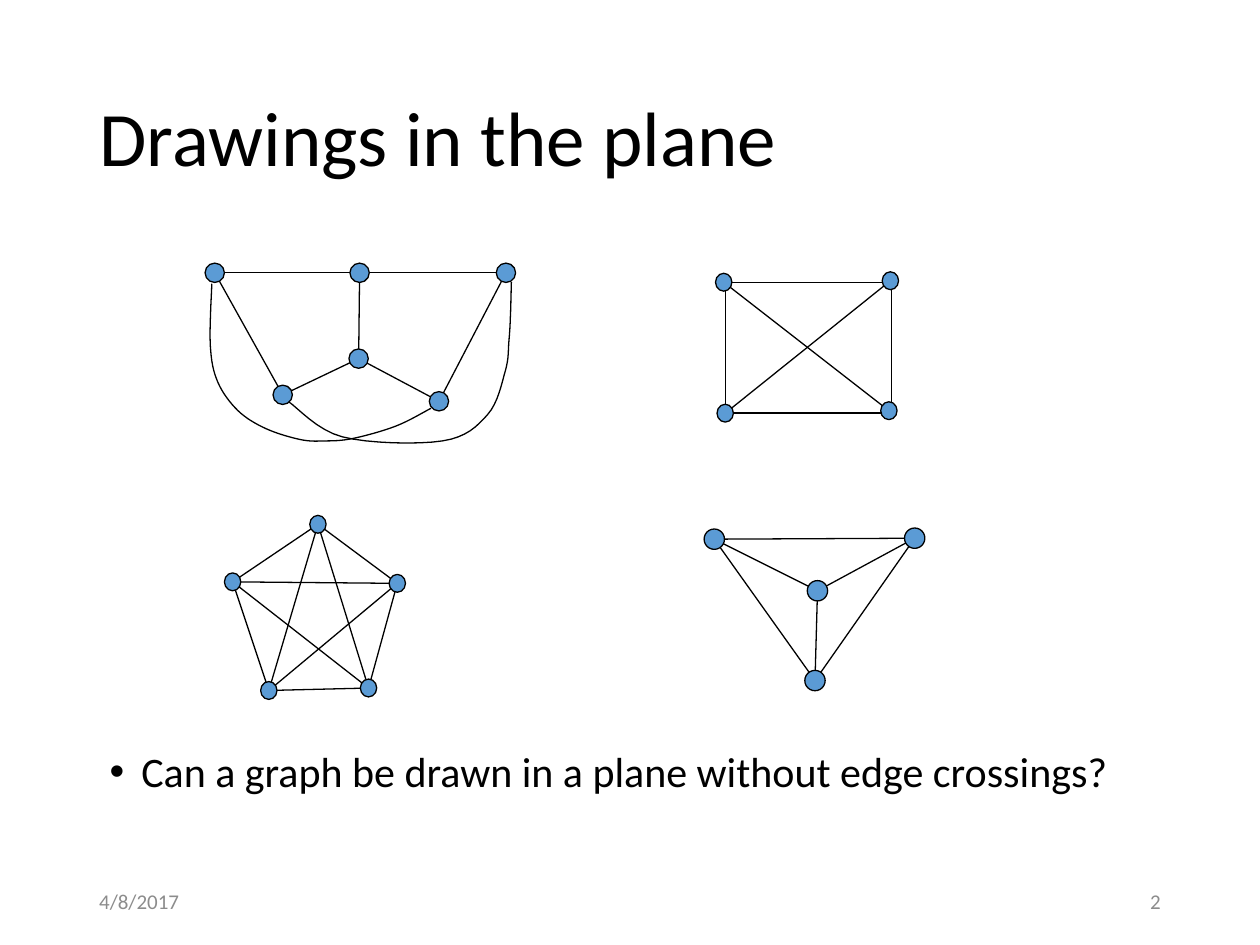
"""Build a slide of four graphs drawn in the plane."""
from itertools import combinations
from math import hypot

from lxml import etree
from pptx import Presentation
from pptx.dml.color import RGBColor
from pptx.enum.shapes import MSO_CONNECTOR, MSO_SHAPE
from pptx.enum.text import MSO_ANCHOR, PP_ALIGN
from pptx.oxml.ns import qn
from pptx.util import Cm, Pt

LEFT, RIGHT = PP_ALIGN.LEFT, PP_ALIGN.RIGHT
TOP, MIDDLE = MSO_ANCHOR.TOP, MSO_ANCHOR.MIDDLE
OVAL, RECT = MSO_SHAPE.OVAL, MSO_SHAPE.RECTANGLE
STRAIGHT = MSO_CONNECTOR.STRAIGHT

COLORS = {"ink": "000000", "node": "5B9BD5", "muted": "8C8C8C"}
FONT = "Calibri"
STEPS = 8

TITLE = {"text": "Drawings in the plane", "box": (1.75, 1.02, 21.89, 3.68),
         "size": 44, "color": "ink", "align": LEFT, "anchor": MIDDLE, "space": 0.9}
NOTES = [
    {"text": "4/8/2017", "box": (1.75, 17.65, 5.72, 1.02), "size": 12,
     "color": "muted", "align": LEFT, "anchor": MIDDLE, "space": 1.0},
    {"text": "2", "box": (17.93, 17.65, 5.72, 1.02), "size": 12,
     "color": "muted", "align": RIGHT, "anchor": MIDDLE, "space": 1.0},
]
QUESTION = {"text": "Can a graph be drawn in a plane without edge crossings?",
            "box": (1.96, 15.01, 21.74, 1.83), "size": 24, "color": "ink",
            "align": LEFT, "anchor": TOP, "space": 0.9, "bullet": "•"}

GRAPHS = [
    {"size": (0.39, 0.39),
     "nodes": [(4.33, 5.5), (7.25, 5.5), (10.2, 5.5),
               (7.23, 7.23), (8.85, 8.09), (5.7, 7.96)],
     "edges": [(0, 1), (1, 2), (5, 3), (3, 4), (1, 3), (0, 5), (2, 4)],
     "curves": [
         [(5.82, 8.1), (6.91, 8.81), (8.92, 8.89), (9.83, 8.36),
          (10.19, 7.47), (10.26, 6.88), (10.29, 6.4), (10.31, 5.69)],
         [(4.27, 5.72), (4.24, 6.96), (4.39, 7.7), (4.8, 8.28), (5.36, 8.64),
          (6.05, 8.86), (6.53, 8.89), (7.11, 8.84), (7.98, 8.59), (8.69, 8.23)],
     ]},
    {"size": (0.33, 0.36),
     "nodes": [(14.59, 5.69), (17.95, 5.66), (17.92, 8.28), (14.62, 8.33)],
     "edges": [(3, 1), (0, 2)],
     "frame": (14.63, 5.69, 3.35, 2.64)},
    {"size": (0.41, 0.41),
     "nodes": [(14.4, 10.87), (18.44, 10.85), (16.43, 13.72), (16.48, 11.91)],
     "edges": list(combinations(range(4), 2))},
    {"size": (0.33, 0.36),
     "nodes": [(4.69, 11.73), (8.01, 11.76), (7.43, 13.87),
               (6.41, 10.57), (5.42, 13.92)],
     "edges": list(combinations(range(5), 2))},
]


def paint(color):
    return RGBColor.from_string(COLORS[color])


def lengths(values):
    return [Cm(value) for value in values]


def stroke(shape):
    shape.line.color.rgb = paint("ink")
    shape.line.width = Pt(0.75)


def write(shape, item):
    for name, value in zip(("left", "top", "width", "height"), lengths(item["box"])):
        setattr(shape, name, value)
    frame = shape.text_frame
    frame.word_wrap = True
    frame.vertical_anchor = item["anchor"]
    para = frame.paragraphs[0]
    para.alignment = item["align"]
    para.line_spacing = item["space"]
    if "bullet" in item:
        props = para._p.get_or_add_pPr()
        props.set("marL", str(Cm(0.64)))
        props.set("indent", str(-Cm(0.64)))
        etree.SubElement(props, qn("a:buFont"), typeface="Arial")
        etree.SubElement(props, qn("a:buChar"), char=item["bullet"])
    run = para.add_run()
    run.text = item["text"]
    style = {"name": FONT, "size": Pt(item["size"])}
    for name, value in style.items():
        setattr(run.font, name, value)
    run.font.color.rgb = paint(item["color"])


def add_form(shapes, kind, box, fill=None):
    shape = shapes.add_shape(kind, *lengths(box))
    shape.shadow.inherit = False
    if fill:
        shape.fill.solid()
        shape.fill.fore_color.rgb = paint(fill)
    else:
        shape.fill.background()
    stroke(shape)


def add_edge(shapes, start, end, size):
    """Join two nodes from rim to rim."""
    (ax, ay), (bx, by) = start, end
    dx, dy = bx - ax, by - ay
    trim = 0.5 / hypot(dx / size[0], dy / size[1])
    ends = (ax + trim * dx, ay + trim * dy, bx - trim * dx, by - trim * dy)
    line = shapes.add_connector(STRAIGHT, *lengths(ends))
    etree.SubElement(line._element.spPr, qn("a:effectLst"))
    stroke(line)


def blend(a, b, c, d, t):
    """Return a value on the smooth curve between b and c."""
    return b + t / 2 * (c - a + t * (2 * a - 5 * b + 4 * c - d
                                     + t * (3 * (b - c) + d - a)))


def add_curve(shapes, knots):
    """Draw a smooth open curve through the knots."""
    ring = [knots[0], *knots, knots[-1]]
    dots = [tuple(Cm(blend(*axis, step / STEPS)) for axis in zip(*ring[i:i + 4]))
            for i in range(len(knots) - 1) for step in range(1, STEPS + 1)]
    pen = shapes.build_freeform(*lengths(knots[0]))
    pen.add_line_segments(dots, close=False)
    curve = pen.convert_to_shape()
    curve.shadow.inherit = False
    curve.fill.background()
    stroke(curve)


def add_graph(slide, graph):
    shapes = slide.shapes.add_group_shape().shapes
    nodes, (wide, high) = graph["nodes"], graph["size"]
    if "frame" in graph:
        add_form(shapes, RECT, graph["frame"])
    for start, end in graph["edges"]:
        add_edge(shapes, nodes[start], nodes[end], graph["size"])
    for knots in graph.get("curves", []):
        add_curve(shapes, knots)
    for x, y in nodes:
        add_form(shapes, OVAL, (x - wide / 2, y - high / 2, wide, high), "node")


def main():
    deck = Presentation()
    deck.slide_width, deck.slide_height = lengths((25.4, 19.05))
    slide = deck.slides.add_slide(deck.slide_layouts[5])
    write(slide.shapes.title, TITLE)
    for graph in GRAPHS:
        add_graph(slide, graph)
    for item in [QUESTION, *NOTES]:
        write(slide.shapes.add_textbox(*lengths(item["box"])), item)
    deck.save("out.pptx")


if __name__ == "__main__":
    main()
